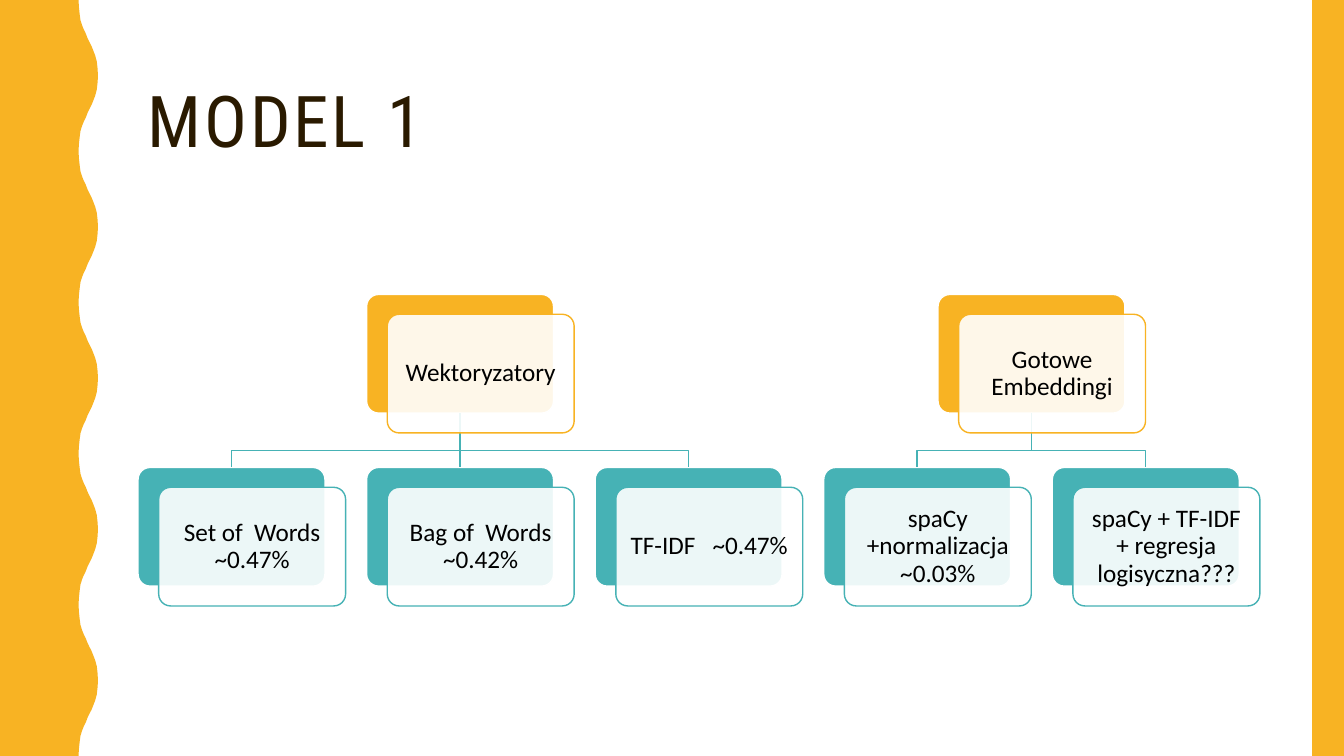
from pptx import Presentation
from pptx.dml.color import RGBColor
from pptx.enum.shapes import MSO_CONNECTOR, MSO_SHAPE
from pptx.enum.text import MSO_ANCHOR, PP_ALIGN
from pptx.oxml.ns import qn
from pptx.util import Cm, Pt
from lxml.etree import SubElement

COLORS = {"gold": "F8B323", "teal": "46B2B5", "white": "FFFFFF",
          "brown": "2A1A00", "black": "000000"}
WIDTH, HEIGHT = 33.87, 19.05
CARD_W, CARD_H = 4.71, 2.99
LEFT, PITCH = 3.48, 5.76
ROOT_TOP, LEAF_TOP, RAIL = 7.42, 11.78, 11.35
SHIFT_X, SHIFT_Y = 0.52, 0.5

# Half of one wave of the left band, as (x, y) in cm
BEND = [(1.98, 0), (1.99, 0.18), (2.01, 0.36), (2.03, 0.51), (2.07, 0.64),
        (2.11, 0.74), (2.16, 0.84), (2.21, 0.97), (2.26, 1.07), (2.31, 1.17),
        (2.35, 1.27), (2.4, 1.4), (2.44, 1.55), (2.46, 1.73), (2.47, 1.91)]
WAVE = 3.81

TREES = [
    ("Wektoryzatory", ["Set of  Words ~0.47%", "Bag of  Words ~0.42%",
                       "TF-IDF   ~0.47%"]),
    ("Gotowe Embeddingi", ["spaCy +normalizacja ~0.03%",
                           "spaCy + TF-IDF + regresja logisyczna???"]),
]


def color(name):
    return RGBColor.from_string(COLORS[name])


def paint(shape, fill, line=None):
    shape.shadow.inherit = False
    shape.fill.solid()
    shape.fill.fore_color.rgb = color(fill)
    if line:
        shape.line.color.rgb = color(line)
        shape.line.width = Pt(1)
    else:
        shape.line.fill.background()


def outline(shapes, points, close):
    """Build a freeform through points given in cm."""
    spots = [(Cm(x), Cm(y)) for x, y in points]
    pen = shapes.build_freeform(*spots[0])
    pen.add_line_segments(spots[1:], close=close)
    return pen.convert_to_shape()


def add_bands(shapes):
    swell = BEND + [(x, WAVE - y) for x, y in BEND[-2:0:-1]]
    edge = [(x, y + n * WAVE) for n in range(5) for x, y in swell]
    edge.append((BEND[0][0], HEIGHT))
    paint(outline(shapes, [(0, 0), *edge, (0, HEIGHT)], True), "gold")
    bar = shapes.add_shape(MSO_SHAPE.RECTANGLE, Cm(33.07), 0, Cm(0.8), Cm(HEIGHT))
    paint(bar, "gold")


def add_title(shapes, text):
    box = shapes.add_textbox(Cm(3.48), Cm(1.07), Cm(28.27), Cm(4.14))
    frame = box.text_frame
    frame.word_wrap = True
    frame.vertical_anchor = MSO_ANCHOR.MIDDLE
    para = frame.paragraphs[0]
    run = para.add_run()
    run.text = text
    para.line_spacing = 0.9
    para.font.name = "Roboto Condensed"
    para.font.size = Pt(51)
    para.font.color.rgb = color("brown")
    run.font._element.set("spc", "200")


def add_card(shapes, x, y, fill, line):
    card = shapes.add_shape(MSO_SHAPE.ROUNDED_RECTANGLE,
                            Cm(x), Cm(y), Cm(CARD_W), Cm(CARD_H))
    card.adjustments[0] = 0.1
    paint(card, fill, line)
    return card


def add_label(shapes, x, y, text, tone):
    """Lay the translucent text card over its coloured back card."""
    card = add_card(shapes, x + SHIFT_X, y + SHIFT_Y, "white", tone)
    shade = card.fill._xPr.find(qn("a:solidFill"))[0]
    SubElement(shade, qn("a:alpha"), val="90000")
    frame = card.text_frame
    frame.word_wrap = True
    frame.vertical_anchor = MSO_ANCHOR.MIDDLE
    frame.margin_left = frame.margin_right = Cm(0.18)
    frame.margin_top = frame.margin_bottom = Cm(0.18)
    para = frame.paragraphs[0]
    para.text = text
    para.alignment = PP_ALIGN.CENTER
    para.line_spacing = 0.9
    para.font.name = "Calibri"
    para.font.size = Pt(18)
    para.font.color.rgb = color("black")


def add_link(shapes, root, leaf, start, end):
    """Join root to leaf: straight when aligned, else by an elbow."""
    if start == end:
        link = shapes.add_connector(MSO_CONNECTOR.STRAIGHT, 0, 0, 0, 0)
        link.begin_connect(root, 2)
        link.end_connect(leaf, 0)
        SubElement(link._element.spPr, qn("a:effectLst"))
    else:
        a, b = start + CARD_W / 2, end + CARD_W / 2
        link = outline(shapes, [(a, ROOT_TOP + CARD_H), (a, RAIL),
                                (b, RAIL), (b, LEAF_TOP)], False)
        link.shadow.inherit = False
        link.fill.background()
    link.line.color.rgb = color("teal")
    link.line.width = Pt(1)


def add_tree(shapes, first, name, leaves):
    """Draw a root centred over its leaves, from column first on."""
    spots = [LEFT + PITCH * (first + n) for n in range(len(leaves))]
    mid = LEFT + PITCH * (first + (len(leaves) - 1) / 2)
    root = add_card(shapes, mid, ROOT_TOP, "gold", "white")
    for x in spots:
        leaf = add_card(shapes, x, LEAF_TOP, "teal", "white")
        add_link(shapes, root, leaf, mid, x)
    add_label(shapes, mid, ROOT_TOP, name, "gold")
    for x, text in zip(spots, leaves):
        add_label(shapes, x, LEAF_TOP, text, "teal")


def main():
    deck = Presentation()
    deck.slide_width, deck.slide_height = Cm(WIDTH), Cm(HEIGHT)
    shapes = deck.slides.add_slide(deck.slide_layouts[6]).shapes
    add_title(shapes, "MODEL 1")
    add_bands(shapes)
    first = 0
    for name, leaves in TREES:
        add_tree(shapes, first, name, leaves)
        first += len(leaves)
    deck.save("out.pptx")


if __name__ == "__main__":
    main()
